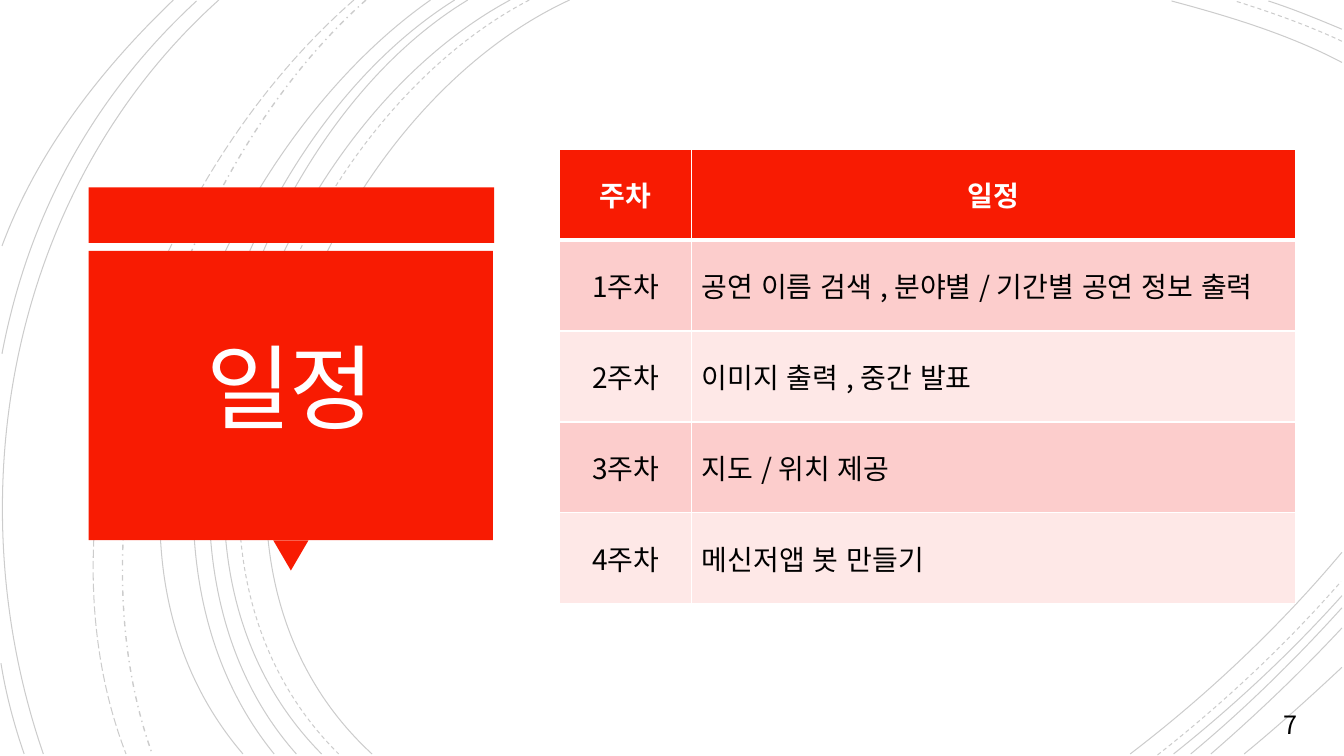
from lxml.etree import SubElement as Sub
from pptx import Presentation
from pptx.dml.color import RGBColor as RGB
from pptx.enum.dml import MSO_LINE as Dash
from pptx.enum.shapes import MSO_SHAPE as Kind
from pptx.enum.text import MSO_ANCHOR as Anchor, PP_ALIGN as Align
from pptx.oxml.ns import qn
from pptx.util import Inches, Pt

# Content
TITLE = "일정"
PAGE = "7"
ROWS = [
    ("주차", "일정"),
    ("1주차", "공연 이름 검색 , 분야별 / 기간별 공연 정보 출력"),
    ("2주차", "이미지 출력 , 중간 발표"),
    ("3주차", "지도 / 위치 제공"),
    ("4주차", "메신저앱 봇 만들기"),
]
COLS = (1.31, 5.99)
PLAN_H = 4.51

# Look
FONT = "Noto Sans CJK KR"
RED, ROSE, PALE = RGB(0xF8, 0x1B, 0x02), RGB(0xFC, 0xCD, 0xCC), RGB(0xFE, 0xE8, 0xE7)
WHITE, SNOW, BLACK = RGB(255, 255, 255), RGB(0xFF, 0xFE, 0xFF), RGB(0, 0, 0)

# Background arcs by dash: start, two control points, end
ARCS = {
    Dash.SOLID: [
        ((5.65, 0), (3.15, 1.15), (1.43, 5.4), (3.69, 7.48)),
        ((13.31, 0.62), (12.78, 0.34), (12.18, 0.16), (11.62, 0.01)),
        ((11.21, 7.48), (11.97, 6.9), (12.69, 6.22), (13.31, 5.48)),
        ((5.06, 0), (2.7, 1.27), (1.1, 5.37), (3.19, 7.48)),
        ((13.31, 0.29), (13.07, 0.19), (12.83, 0.09), (12.58, 0.01)),
        ((11.64, 7.48), (12.23, 7.01), (12.8, 6.48), (13.31, 5.91)),
        ((4.64, 0), (2.44, 1.33), (1.1, 5.41), (2.94, 7.48)),
        ((11.81, 7.48), (12.34, 7.04), (12.84, 6.55), (13.31, 6.03)),
        ((4.51, 0), (2.31, 1.38), (0.97, 5.33), (2.72, 7.48)),
        ((12.01, 7.48), (12.46, 7.09), (12.9, 6.67), (13.31, 6.23)),
        ((4.27, 0), (2.17, 1.47), (0.53, 5.29), (2.41, 7.48)),
        ((12.34, 7.48), (12.67, 7.21), (12.99, 6.92), (13.31, 6.62)),
        ((2.17, 0), (0.11, 1.85), (-0.46, 4.9), (0.43, 7.48)),
        ((1.95, 0.01), (0.92, 0.96), (0.28, 2.14), (0.02, 3.51)),
        ((0.01, 6.58), (0.06, 6.89), (0.14, 7.19), (0.24, 7.48)),
        ((1.72, 0), (1, 0.69), (0.37, 1.5), (0.02, 2.44)),
    ],
    Dash.DASH: [
        ((5.25, 0), (2.85, 1.25), (1.23, 5.37), (3.36, 7.48)),
        ((13.31, 0.41), (12.97, 0.25), (12.6, 0.12), (12.25, 0.01)),
        ((11.48, 7.49), (12.13, 6.98), (12.75, 6.4), (13.3, 5.77)),
    ],
    Dash.DASH_DOT: [((3.63, 0), (1.76, 1.66), (0.65, 5.09), (1.51, 7.48))],
    Dash.LONG_DASH: [((3.51, 0), (1.57, 1.69), (0.29, 4.99), (1.25, 7.48))],
}

# Title badge: kind, left, top, width, height, turn
BADGE = [
    (Kind.RECTANGLE, 0.88, 1.86, 4.02, 0.55, 0),
    (Kind.ISOSCELES_TRIANGLE, 2.71, 5.36, 0.35, 0.3, 180),
    (Kind.RECTANGLE, 0.88, 2.49, 4.01, 2.87, 0),
]


def write(frame, text, size=20, color=BLACK, bold=False, align=Align.LEFT,
          lead=None, track=None):
    par = frame.paragraphs[0]
    par.alignment, par.line_spacing = align, lead
    run = par.add_run()
    run.text = text
    font = run.font
    font.name, font.size, font.bold = FONT, Pt(size), bold
    font.color.rgb = color
    props = run._r.get_or_add_rPr()
    props.set("lang", "ko-KR")
    props.set("kern", "0")
    Sub(props, qn("a:ea"), typeface=FONT)
    if track is not None:
        props.set("spc", str(track))


def add_text(slide, box, text, inset=None, **form):
    frame = slide.shapes.add_textbox(*map(Inches, box)).text_frame
    frame.word_wrap = True
    if inset is not None:
        frame.vertical_anchor = Anchor.MIDDLE
        frame.margin_left = frame.margin_right = Inches(inset)
        frame.margin_top = frame.margin_bottom = Inches(inset)
    write(frame, text, **form)


def span(a, b, c, d, steps=100):
    """Lowest and highest value of a cubic curve along one axis."""
    vals = []
    for n in range(steps + 1):
        t = n / steps
        u = 1 - t
        vals.append(u ** 3 * a + 3 * t * u * u * b + 3 * t * t * u * c + t ** 3 * d)
    return round(min(vals)), round(max(vals))


def add_arc(slide, ends, dash):
    dots = [tuple(map(Inches, dot)) for dot in ends]
    pen = slide.shapes.build_freeform(*dots[0])
    pen.add_line_segments(dots[1:], close=False)
    arc = pen.convert_to_shape()

    # Turn the three segments into one curve, framed by its true extent
    (left, right), (top, base) = (span(*axis) for axis in zip(*dots))
    trace = arc._element.find(".//" + qn("a:path"))
    points = list(trace.iter(qn("a:pt")))
    for old in trace.findall(qn("a:lnTo")):
        trace.remove(old)
    Sub(trace, qn("a:cubicBezTo")).extend(points[1:])
    for point, (x, y) in zip(points, dots):
        point.set("x", str(x - left))
        point.set("y", str(y - top))
    arc.left, arc.top, arc.width, arc.height = left, top, right - left, base - top
    trace.set("w", str(right - left))
    trace.set("h", str(base - top))

    arc.shadow.inherit = False
    arc.fill.background()
    arc.line.color.rgb = BLACK
    arc.line.width = Pt(1 if dash == Dash.DASH_DOT else 0.75)
    arc.line.dash_style = dash
    tint = arc._element.find(".//" + qn("a:ln")).find(".//" + qn("a:srgbClr"))
    Sub(tint, qn("a:alpha"), val="20000")


def edge(cell, side, width):
    line = Sub(cell._tc.get_or_add_tcPr(), qn("a:ln" + side), w=str(Pt(width)))
    Sub(Sub(line, qn("a:solidFill")), qn("a:srgbClr"), val=str(WHITE))


def add_plan(slide):
    table = slide.shapes.add_table(
        len(ROWS), len(COLS), Inches(5.55), Inches(1.48),
        Inches(sum(COLS)), Inches(PLAN_H)).table
    for col, width in zip(table.columns, COLS):
        col.width = Inches(width)
    for r, texts in enumerate(ROWS):
        table.rows[r].height = Inches(PLAN_H / len(ROWS))
        head = r == 0
        for c, text in enumerate(texts):
            cell = table.cell(r, c)
            for side in "LRTB":
                thick = (r, side) in ((0, "B"), (1, "T"))
                edge(cell, side, 3 if thick else 1)
            cell.fill.solid()
            cell.fill.fore_color.rgb = RED if head else (PALE, ROSE)[r % 2]
            cell.vertical_anchor = Anchor.MIDDLE
            write(cell.text_frame, text, bold=head, color=WHITE if head else BLACK,
                  align=Align.CENTER if head or c == 0 else Align.LEFT)


def main():
    deck = Presentation()
    deck.slide_width, deck.slide_height = Inches(13.33), Inches(7.5)
    slide = deck.slides.add_slide(deck.slide_layouts[6])

    # Background
    for dash, group in ARCS.items():
        for ends in group:
            add_arc(slide, ends, dash)

    # Title badge
    for kind, *box, turn in BADGE:
        part = slide.shapes.add_shape(kind, *map(Inches, box))
        part.rotation = turn
        part.shadow.inherit = False
        part.fill.solid()
        part.fill.fore_color.rgb = RED
        part.line.fill.background()
    add_text(slide, (0.97, 2.57, 3.83, 2.69), TITLE, inset=0.25, size=66,
             color=SNOW, align=Align.CENTER, lead=0.85, track=-150)

    # Schedule and page number
    add_plan(slide)
    add_text(slide, (12.63, 6.99, 0.5, 0.4), PAGE, size=18)
    deck.save("out.pptx")


if __name__ == "__main__":
    main()
